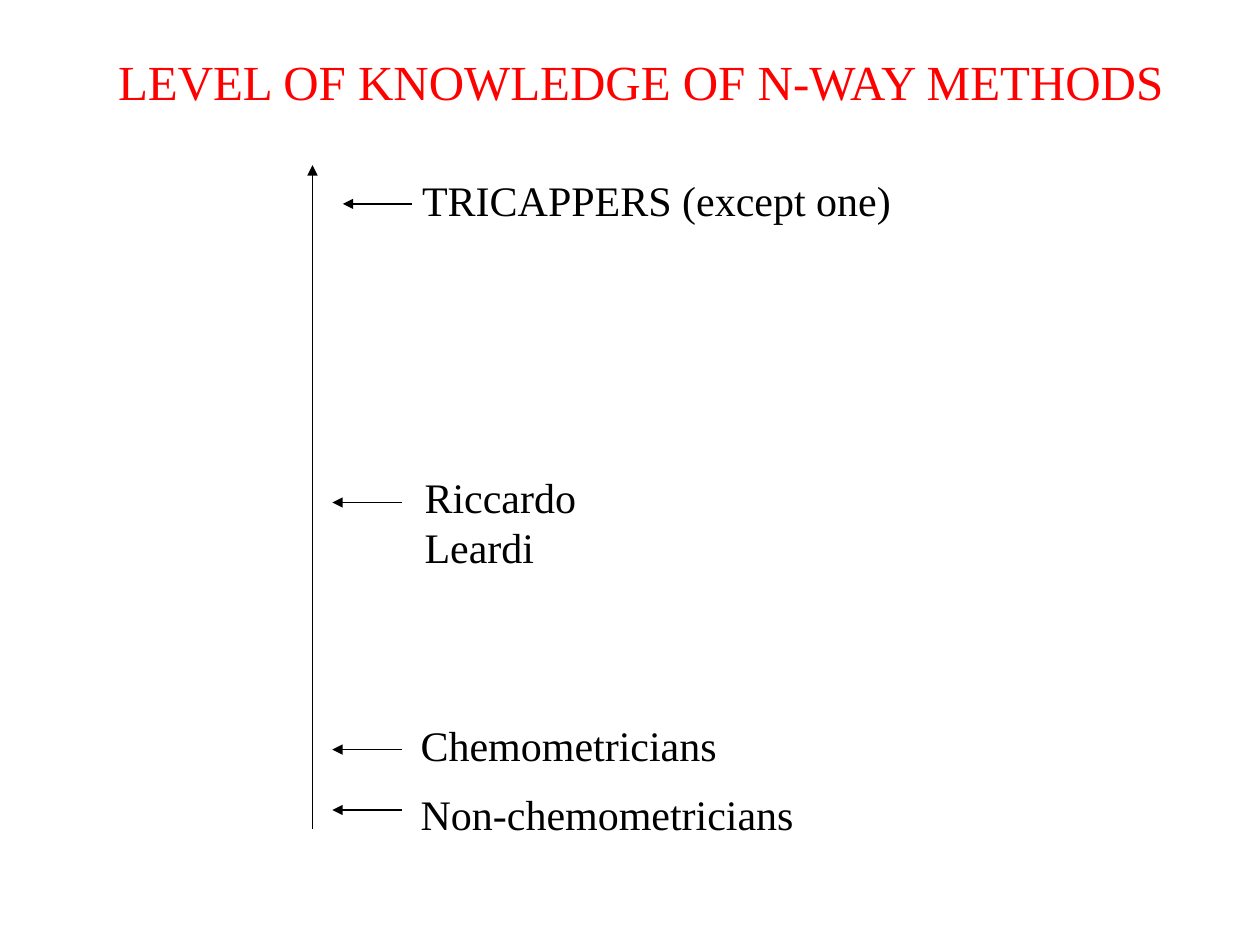
from lxml.etree import SubElement
from pptx import Presentation
from pptx.dml.color import RGBColor
from pptx.enum.shapes import MSO_CONNECTOR
from pptx.enum.text import MSO_ANCHOR, MSO_AUTO_SIZE, PP_ALIGN
from pptx.oxml.ns import qn
from pptx.util import Cm, Pt

COLOURS = {"title": "FF0000", "ink": "000000"}
FONT = "Times New Roman"

# Centimetres: left, top, width, height
TITLE = ("LEVEL OF KNOWLEDGE OF N-WAY METHODS", (2.13, 0.91, 21.84, 1.45))
AXIS = {"x": 6.3, "bottom": 16.71, "top": 3.33}

# Label, left, top, width, arrow start, arrow height
LEVELS = [
    ("TRICAPPERS (except one)", 8.26, 3.38, 9.96, 8.31, 4.11),
    ("Riccardo Leardi", 8.31, 9.37, 5.97, 8.1, 10.13),
    ("Chemometricians", 8.23, 14.38, 6.48, 8.1, 15.11),
    ("Non-chemometricians", 8.23, 15.77, 8.03, 8.1, 16.33),
]
LABEL_HEIGHT = 1.27
ARROW_LENGTH = 1.4

FRAME_FORMAT = {
    "word_wrap": False,
    "auto_size": MSO_AUTO_SIZE.SHAPE_TO_FIT_TEXT,
    "vertical_anchor": MSO_ANCHOR.TOP,
    "margin_left": Cm(0.25),
    "margin_right": Cm(0.25),
    "margin_top": Cm(0.13),
    "margin_bottom": Cm(0.13),
}


def set_format(target, values):
    for name, value in values.items():
        setattr(target, name, value)


def add_text(page, text, area, size, colour):
    box = page.shapes.add_textbox(*map(Cm, area))
    set_format(box.text_frame, FRAME_FORMAT)
    para = box.text_frame.paragraphs[0]
    para.alignment = PP_ALIGN.LEFT
    span = para.add_run()
    span.text = text
    set_format(span.font, {"name": FONT, "size": Pt(size)})
    span.font.color.rgb = RGBColor.from_string(COLOURS[colour])


def add_arrow(page, start, end):
    arrow = page.shapes.add_connector(
        MSO_CONNECTOR.STRAIGHT, *map(Cm, start + end))
    arrow.line.width = Pt(0.75)
    arrow.line.color.rgb = RGBColor.from_string(COLOURS["ink"])
    SubElement(arrow.line._get_or_add_ln(), qn("a:tailEnd"), type="triangle")
    SubElement(arrow._element.spPr, qn("a:effectLst"))


def main():
    deck = Presentation()
    deck.slide_width, deck.slide_height = Cm(25.4), Cm(19.05)
    page = deck.slides.add_slide(deck.slide_layouts[6])

    add_text(page, *TITLE, 28, "title")
    add_arrow(page, (AXIS["x"], AXIS["bottom"]), (AXIS["x"], AXIS["top"]))
    for text, left, top, width, start, height in LEVELS:
        add_text(page, text, (left, top, width, LABEL_HEIGHT), 24, "ink")
        add_arrow(page, (start, height), (start - ARROW_LENGTH, height))

    deck.save("out.pptx")


if __name__ == "__main__":
    main()
